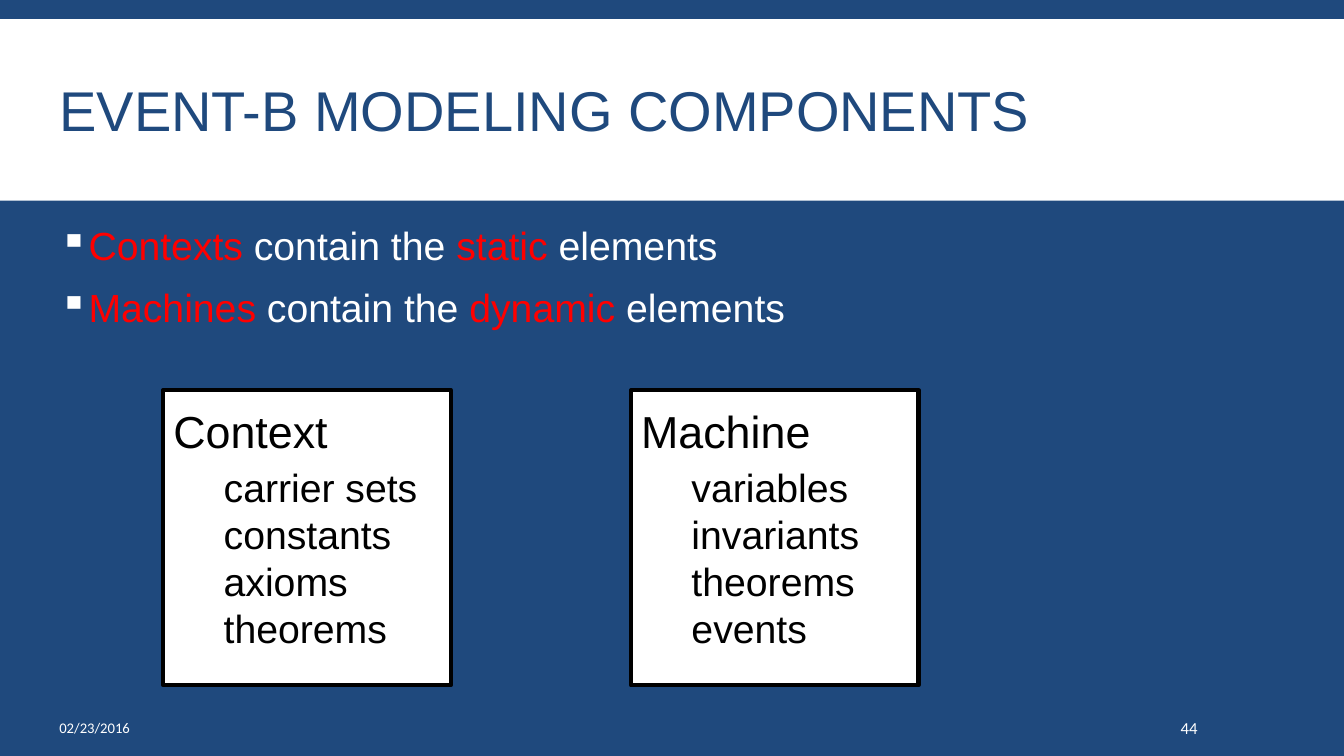
from lxml.etree import SubElement
from pptx import Presentation
from pptx.dml.color import RGBColor
from pptx.enum.shapes import MSO_SHAPE
from pptx.enum.text import MSO_ANCHOR, MSO_AUTO_SIZE, PP_ALIGN
from pptx.oxml.ns import qn
from pptx.util import Inches, Pt

NAVY, WHITE, BLACK, RED = "1F497D", "FFFFFF", "000000", "FF0000"


def color(hex_code):
    return RGBColor.from_string(hex_code)


def add_text(paragraph, text, size=28, fill=WHITE, font="Arial"):
    run = paragraph.add_run()
    run.text = text
    run.font.name = font
    run.font.size = Pt(size)
    run.font.color.rgb = color(fill)


class ComponentSlide:
    """Holds the slide and its style, and draws each kind of element."""

    def __init__(self, presentation):
        self.slide = presentation.slides.add_slide(presentation.slide_layouts[5])
        background = self.slide.background.fill
        background.solid()
        background.fore_color.rgb = color(NAVY)

    def panel(self, left, top, width, height, border=None):
        panel = self.slide.shapes.add_shape(
            MSO_SHAPE.RECTANGLE, Inches(left), Inches(top), Inches(width), Inches(height))
        panel.shadow.inherit = False
        panel.fill.solid()
        panel.fill.fore_color.rgb = color(WHITE)
        if border:
            panel.line.color.rgb = color(border)
            panel.line.width = Pt(3)
        else:
            panel.line.fill.background()
        return panel

    def title(self, text):
        heading = self.slide.shapes.title
        band = self.panel(0, 0.19, 13.33, 1.8)
        heading.element.addprevious(band.element)
        heading.left, heading.top = Inches(0.49), Inches(0.31)
        heading.width, heading.height = Inches(12.33), Inches(1.65)
        frame = heading.text_frame
        frame.auto_size = MSO_AUTO_SIZE.NONE
        frame.vertical_anchor = MSO_ANCHOR.MIDDLE
        paragraph = frame.paragraphs[0]
        paragraph.alignment = PP_ALIGN.LEFT
        paragraph.line_spacing = 0.85
        add_text(paragraph, text, size=40, fill=NAVY)

    def text_box(self, left, top, width, height):
        box = self.slide.shapes.add_textbox(
            Inches(left), Inches(top), Inches(width), Inches(height))
        box.text_frame.word_wrap = True
        return box.text_frame

    def bullets(self, statements):
        frame = self.text_box(0.49, 2.2, 12.33, 4.6)
        for index, statement in enumerate(statements):
            paragraph = frame.paragraphs[0] if index == 0 else frame.add_paragraph()
            paragraph.line_spacing = 0.9
            paragraph.space_before = Pt(12 if index else 0)
            paragraph.space_after = Pt(2)
            properties = paragraph._p.get_or_add_pPr()
            properties.set("marL", str(Inches(0.2)))
            properties.set("indent", str(Inches(-0.2)))
            bullet_color = SubElement(properties, qn("a:buClr"))
            SubElement(bullet_color, qn("a:srgbClr"), val=WHITE)
            SubElement(properties, qn("a:buChar"), char="▪")
            for text, fill in statement:
                add_text(paragraph, text, fill=fill)

    def component(self, left, name, members):
        frame = self.panel(left, 3.87, 2.85, 2.93, border=BLACK).text_frame
        frame.word_wrap = True
        frame.vertical_anchor = MSO_ANCHOR.TOP
        frame.margin_top = Inches(0.14)
        heading = frame.paragraphs[0]
        heading.alignment = PP_ALIGN.LEFT
        add_text(heading, name, size=32, fill=BLACK)
        for index, member in enumerate(members):
            paragraph = frame.add_paragraph()
            paragraph.alignment = PP_ALIGN.LEFT
            paragraph.space_before = Pt(0 if index else 4)
            paragraph._p.get_or_add_pPr().set("marL", str(Inches(0.5)))
            add_text(paragraph, member, fill=BLACK)

    def footer(self, left, width, text, size, margin_left):
        frame = self.text_box(left, 7.02, width, 0.4)
        frame.margin_left = Inches(margin_left)
        frame.vertical_anchor = MSO_ANCHOR.MIDDLE
        add_text(frame.paragraphs[0], text, size=size, font="Calibri")


def main():
    presentation = Presentation()
    presentation.slide_width, presentation.slide_height = Inches(13.33), Inches(7.5)
    slide = ComponentSlide(presentation)
    slide.title("EVENT-B MODELING COMPONENTS")
    slide.bullets([
        [(part, RED), (" contain the ", WHITE), (nature, RED), (" elements", WHITE)]
        for part, nature in (("Contexts", "static"), ("Machines", "dynamic"))
    ])
    slide.component(6.26, "Machine", ["variables", "invariants", "theorems", "events"])
    slide.component(1.62, "Context", ["carrier sets", "constants", "axioms", "theorems"])
    slide.footer(0.49, 4.11, "02/23/2016", size=10.5, margin_left=0.1)
    slide.footer(11.66, 1.17, "44", size=12, margin_left=0.05)
    presentation.save("out.pptx")


if __name__ == "__main__":
    main()
